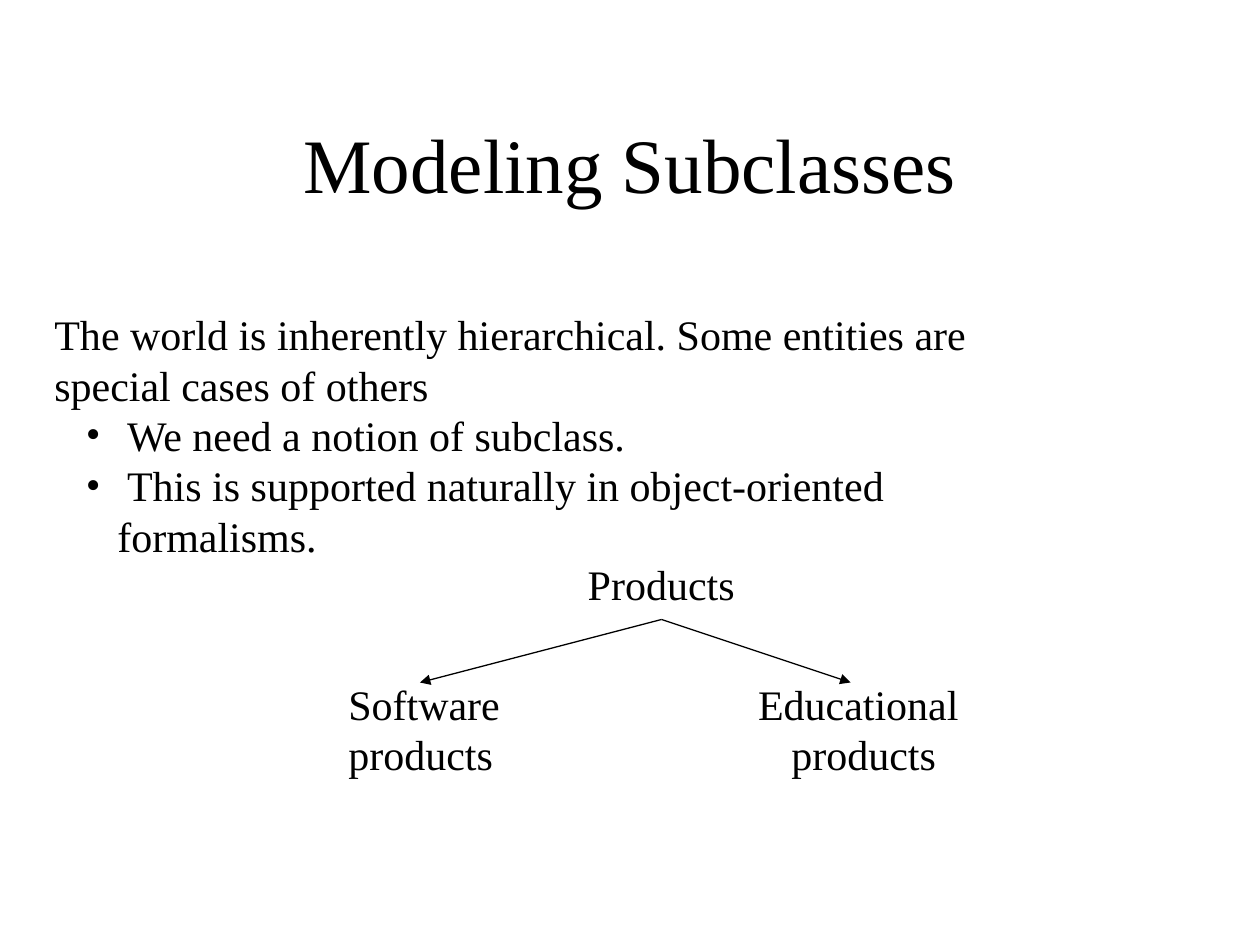
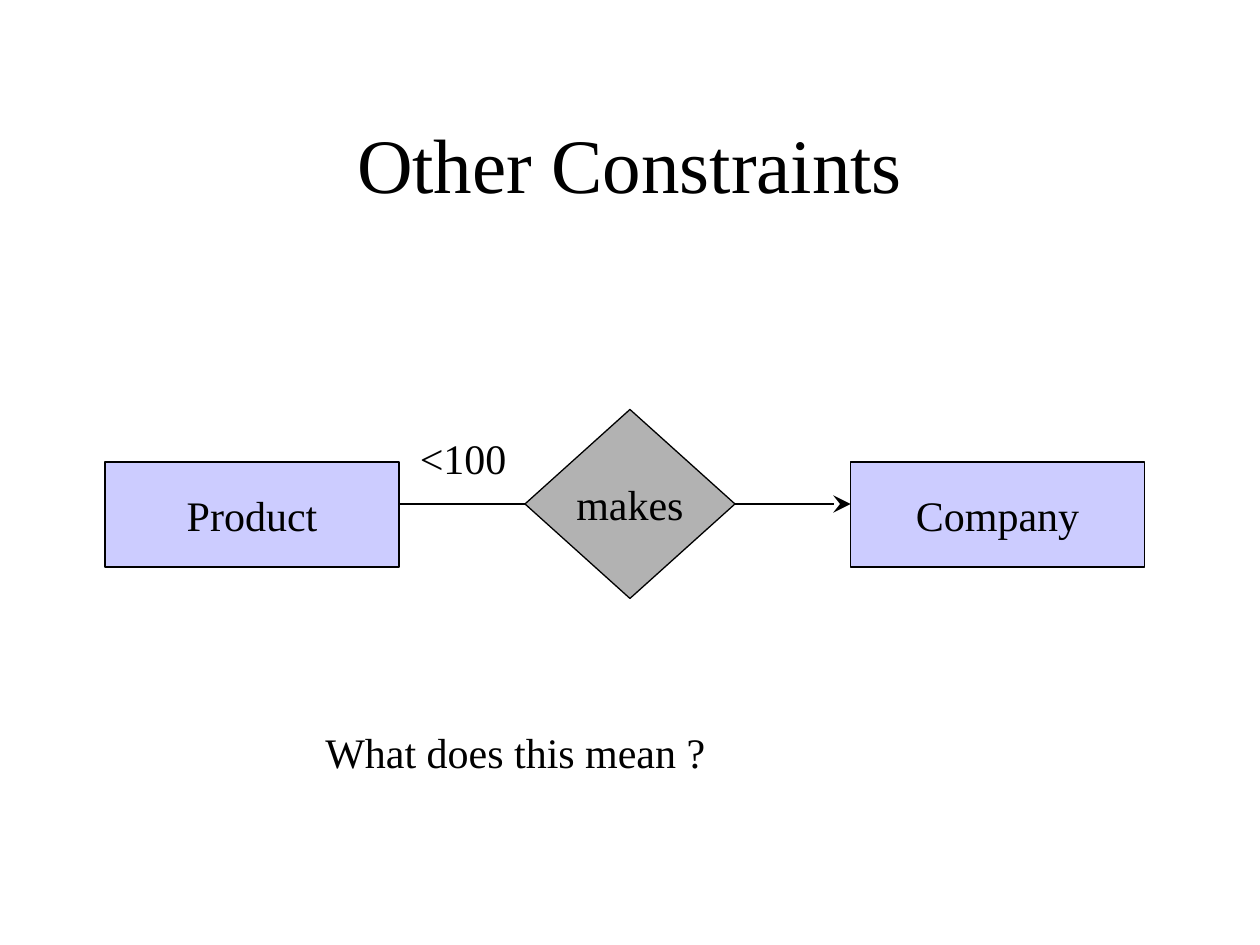
from lxml import etree
from pptx import Presentation
from pptx import util as u
from pptx.dml.color import RGBColor
from pptx.enum import shapes, text
from pptx.oxml.ns import qn

PX = 7620  # EMU per px, 120 px to the inch
COLORS = {"ink": "000000", "paper": "FFFFFF", "entity": "CCCCFF", "relation": "B2B2B2"}
FONT = "Times New Roman"
LEFT, CENTER = text.PP_ALIGN.LEFT, text.PP_ALIGN.CENTER
TOP, MIDDLE = text.MSO_ANCHOR.TOP, text.MSO_ANCHOR.MIDDLE


def px(*lengths):
    return [u.Emu(n * PX) for n in lengths]


def rgb(name):
    return RGBColor.from_string(COLORS[name])


def add_bullet(p, margin=60, hang=30):
    """Give a paragraph a hanging bullet; lengths in px."""
    pPr = p._p.get_or_add_pPr()
    pPr.set("marL", str(margin * PX))
    pPr.set("indent", str(-hang * PX))
    etree.SubElement(pPr, qn("a:buFont"), typeface=FONT)
    etree.SubElement(pPr, qn("a:buChar"), char="•")


def write(tf, lines, size=24, align=LEFT, anchor=TOP, wrap=False, margin_top=6, bullets_from=None):
    """Fill a text frame; lines from index bullets_from on are bulleted."""
    tf.word_wrap = wrap
    tf.vertical_anchor = anchor
    tf.margin_left, tf.margin_right, tf.margin_top, tf.margin_bottom = px(12, 12, margin_top, 6)
    for i, line in enumerate(lines.split("\n")):
        p = tf.add_paragraph() if i else tf.paragraphs[0]
        p.alignment = align
        if bullets_from is not None and i >= bullets_from:
            add_bullet(p)
        r = p.add_run()
        r.text = line
        r.font.name, r.font.size = FONT, u.Pt(size)
        r.font.color.rgb = rgb("ink")


class Deck:
    def __init__(self, width, height):
        self.prs = Presentation()
        self.prs.slide_width, self.prs.slide_height = px(width, height)
        self.s = None

    def slide(self, title):
        self.s = self.prs.slides.add_slide(self.prs.slide_layouts[6])
        fill = self.s.background.fill
        fill.solid()
        fill.fore_color.rgb = rgb("paper")
        self.text(title, 90, 80, 1020, 150, size=44, align=CENTER, anchor=MIDDLE, wrap=True)

    def text(self, lines, x, y, w, h, **style):
        write(self.s.shapes.add_textbox(*px(x, y, w, h)).text_frame, lines, **style)

    def node(self, label, kind, fill, x, y, w, h):
        sp = self.s.shapes.add_shape(kind, *px(x, y, w, h))
        sp.shadow.inherit = False
        sp.fill.solid()
        sp.fill.fore_color.rgb = rgb(fill)
        self.outline(sp)
        write(sp.text_frame, label, align=CENTER, anchor=MIDDLE)

    def line(self, x1, y1, x2, y2, head=None, head_size="med"):
        cxn = self.s.shapes.add_connector(shapes.MSO_CONNECTOR.STRAIGHT, *px(x1, y1, x2, y2))
        ln = self.outline(cxn)
        if head:
            etree.SubElement(ln, qn("a:tailEnd"), type=head, w=head_size, len=head_size)
        etree.SubElement(cxn._element.spPr, qn("a:effectLst"))

    def outline(self, shape):
        shape.line.color.rgb = rgb("ink")
        shape.line.width = u.Pt(0.75)
        return shape.line._get_or_add_ln()


def subclasses(d):
    d.slide("Modeling Subclasses")
    d.text("The world is inherently hierarchical. Some entities are special cases of others\n"
           " We need a notion of subclass.\n"
           " This is supported naturally in object-oriented formalisms.",
           40, 240, 982, 300, wrap=True, margin_top=54, bullets_from=1)
    d.text("Products", 548, 526, 170, 60)
    d.text("Software\nproducts", 320, 640, 178, 108)
    d.text("Educational \nproducts", 710, 640, 225, 108, align=CENTER)
    for child_x in (400, 810):
        d.line(630, 590, child_x, 650, head="triangle")


def constraints(d):
    d.slide("Other Constraints")
    for label, x in (("Company", 810), ("Product", 100)):
        d.node(label, shapes.MSO_SHAPE.RECTANGLE, "entity", x, 440, 280, 100)
    d.node("makes", shapes.MSO_SHAPE.DIAMOND, "relation", 500, 390, 200, 180)
    d.line(500, 480, 380, 480)
    d.line(700, 480, 810, 480, head="stealth", head_size="lg")
    d.text("<100", 388, 406, 110, 60)
    d.text("What does this mean ?", 298, 686, 390, 60)


def main():
    d = Deck(1200, 900)
    subclasses(d)
    constraints(d)
    d.prs.save("out.pptx")


if __name__ == "__main__":
    main()
